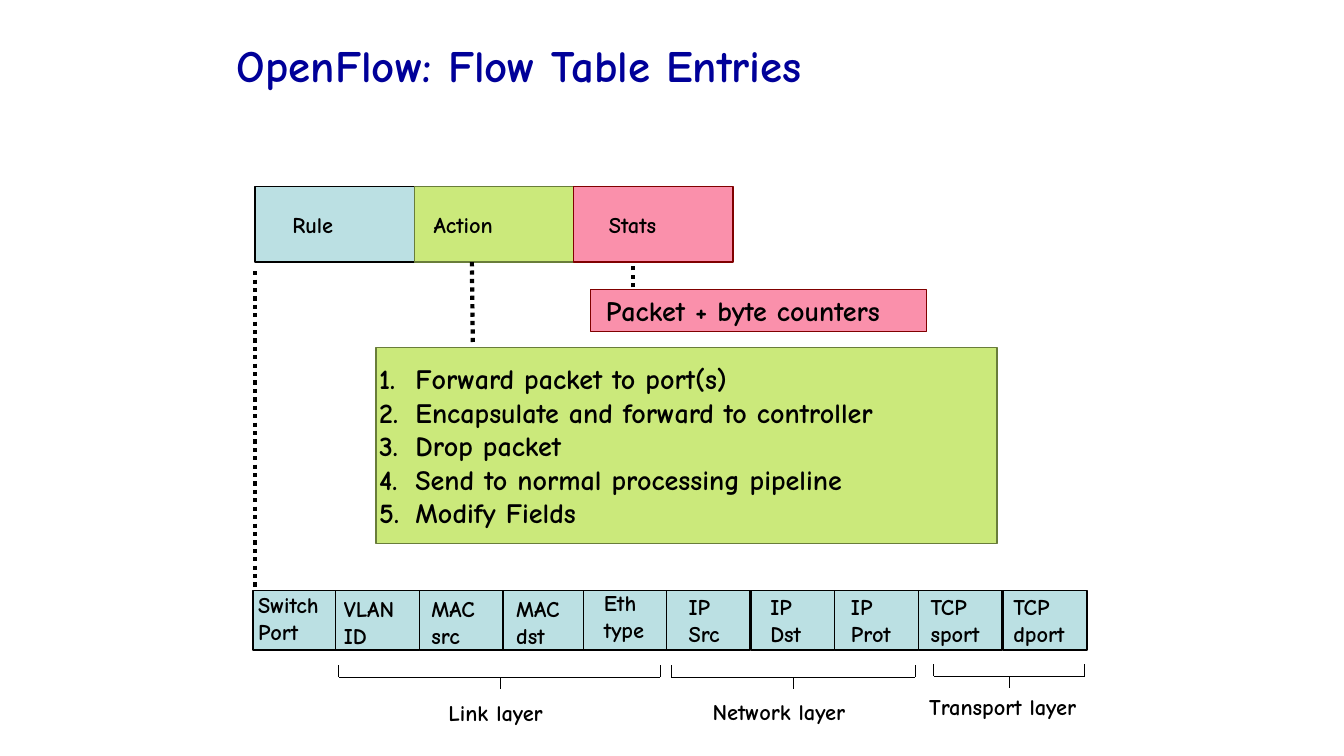
"""Build the OpenFlow flow table entries slide."""
from pptx import Presentation
from pptx.dml.color import RGBColor
from pptx.enum.dml import MSO_LINE
from pptx.enum.shapes import MSO_CONNECTOR, MSO_SHAPE
from pptx.enum.text import MSO_ANCHOR, MSO_AUTO_SIZE, PP_ALIGN
from pptx.oxml.xmlchemy import OxmlElement
from pptx.util import Pt

PX = 9144
FONT = "Comic Neue"
COLORS = {
    "title": "000099", "black": "000000",
    "blue": "BBE0E3", "green": "CBE97B", "pink": "FA90AB",
    "green_line": "697D3A", "pink_line": "800000",
}
RGB = {name: RGBColor.from_string(value) for name, value in COLORS.items()}


def write_lines(frame, lines, size, color="black", align=PP_ALIGN.LEFT, inset=0):
    frame.vertical_anchor = MSO_ANCHOR.MIDDLE
    frame.margin_left = frame.margin_right = inset * PX
    frame.margin_top = frame.margin_bottom = inset // 2 * PX
    for index, line in enumerate(lines):
        paragraph = frame.add_paragraph() if index else frame.paragraphs[0]
        paragraph.alignment = align
        paragraph.space_before = Pt(0)
        run = paragraph.add_run()
        run.text = line
        run.font.name = FONT
        run.font.size = Pt(size)
        run.font.bold = True
        run.font.color.rgb = RGB[color]


def add_line(shapes, x1, y1, x2, y2, width, dash=None):
    line = shapes.add_connector(MSO_CONNECTOR.STRAIGHT, x1 * PX, y1 * PX, x2 * PX, y2 * PX)
    line.line.color.rgb = RGB["black"]
    line.line.width = Pt(width)
    if dash:
        line.line.dash_style = dash
    line._element.spPr.append(OxmlElement("a:effectLst"))


presentation = Presentation()
presentation.slide_width = 1333 * PX
presentation.slide_height = 750 * PX
slide = presentation.slides.add_slide(presentation.slide_layouts[1])

title, actions = slide.placeholders
title.left, title.top, title.width, title.height = 225 * PX, 1 * PX, 997 * PX, 99 * PX
write_lines(title.text_frame, ["OpenFlow: Flow Table Entries"], 32, "title", inset=10)
title.text_frame.paragraphs[0].line_spacing = 1.5
title.text_frame.auto_size = MSO_AUTO_SIZE.NONE

actions.left, actions.top, actions.width, actions.height = 373 * PX, 345 * PX, 616 * PX, 194 * PX
actions.fill.solid()
actions.fill.fore_color.rgb = RGB["green"]
actions.line.color.rgb = RGB["green_line"]
actions.line.width = Pt(1)
write_lines(actions.text_frame, [
    "Forward packet to port(s)",
    "Encapsulate and forward to controller",
    "Drop packet",
    "Send to normal processing pipeline",
    "Modify Fields",
], 20)
actions.text_frame.auto_size = MSO_AUTO_SIZE.NONE
for paragraph in actions.text_frame.paragraphs:
    properties = paragraph._p.get_or_add_pPr()
    properties.set("marL", str(39 * PX))
    properties.set("indent", str(-36 * PX))
    numbering = OxmlElement("a:buAutoNum")
    numbering.set("type", "arabicPeriod")
    properties.append(numbering)

header_fields = [
    (251, 256, 586, 72, ["Switch", "Port"]),
    (333, 341, 590, 62, ["VLAN", "ID"]),
    (416, 428, 590, 50, ["MAC", "src"]),
    (499, 512, 590, 50, ["MAC", "dst"]),
    (579, 599, 584, 48, ["Eth", "type"]),
    (661, 683, 588, 38, ["IP", "Src"]),
    (745, 764, 588, 38, ["IP", "Dst"]),
    (828, 844, 588, 45, ["IP", "Prot"]),
    (911, 923, 588, 56, ["TCP", "sport"]),
    (995, 1005, 588, 58, ["TCP", "dport"]),
]
boxes = [
    (253, 185, 158, 75, "blue", "black"),
    (411, 185, 158, 75, "green", "green_line"),
    (569, 185, 158, 75, "pink", "pink_line"),
    (586, 287, 333, 42, "pink", "pink_line"),
]
boxes += [(left, 586, 83, 59, "blue", "black") for left, *_ in header_fields]
for left, top, width, height, fill, outline in boxes:
    box = slide.shapes.add_shape(
        MSO_SHAPE.RECTANGLE, left * PX, top * PX, width * PX, height * PX)
    box.shadow.inherit = False
    box.fill.solid()
    box.fill.fore_color.rgb = RGB[fill]
    box.line.color.rgb = RGB[outline]
    box.line.width = Pt(1)

labels = [
    (290, 209, 45, 27, ["Rule"], 16, 0),
    (430, 209, 68, 27, ["Action"], 16, 0),
    (604, 209, 60, 27, ["Stats"], 16, 0),
    (601, 291, 317, 34, ["Packet + byte counters"], 20, 0),
    (435, 688, 127, 37, ["Link layer"], 16, 10),
    (697, 687, 176, 37, ["Network layer"], 16, 10),
    (866, 682, 257, 37, ["Transport layer"], 16, 10),
]
labels += [(left, top, width, 54, lines, 16, 0)
           for _, left, top, width, lines in header_fields]
for left, top, width, height, lines, size, inset in labels:
    label = slide.shapes.add_textbox(left * PX, top * PX, width * PX, height * PX)
    centred = lines == ["Transport layer"]
    align = PP_ALIGN.CENTER if centred else PP_ALIGN.LEFT
    write_lines(label.text_frame, lines, size, align=align, inset=inset)
    label.text_frame.word_wrap = centred
    label.text_frame.auto_size = MSO_AUTO_SIZE.SHAPE_TO_FIT_TEXT

for x1, y1, x2, y2 in [(253, 269, 253, 585), (468, 260, 469, 343), (628, 285, 628, 260)]:
    add_line(slide.shapes, x1, y1, x2, y2, 3, MSO_LINE.ROUND_DOT)

for left, right, bar in [(336, 655, 672), (666, 908, 672), (926, 1076, 671)]:
    bracket = slide.shapes.add_group_shape().shapes
    middle = (left + right + 1) // 2
    add_line(bracket, left, bar - 12, left, bar, 0.75)
    add_line(bracket, left, bar, right, bar, 0.75)
    add_line(bracket, right, bar - 12, right, bar, 0.75)
    add_line(bracket, middle, bar, middle, bar + 12, 0.75)

presentation.save("out.pptx")
